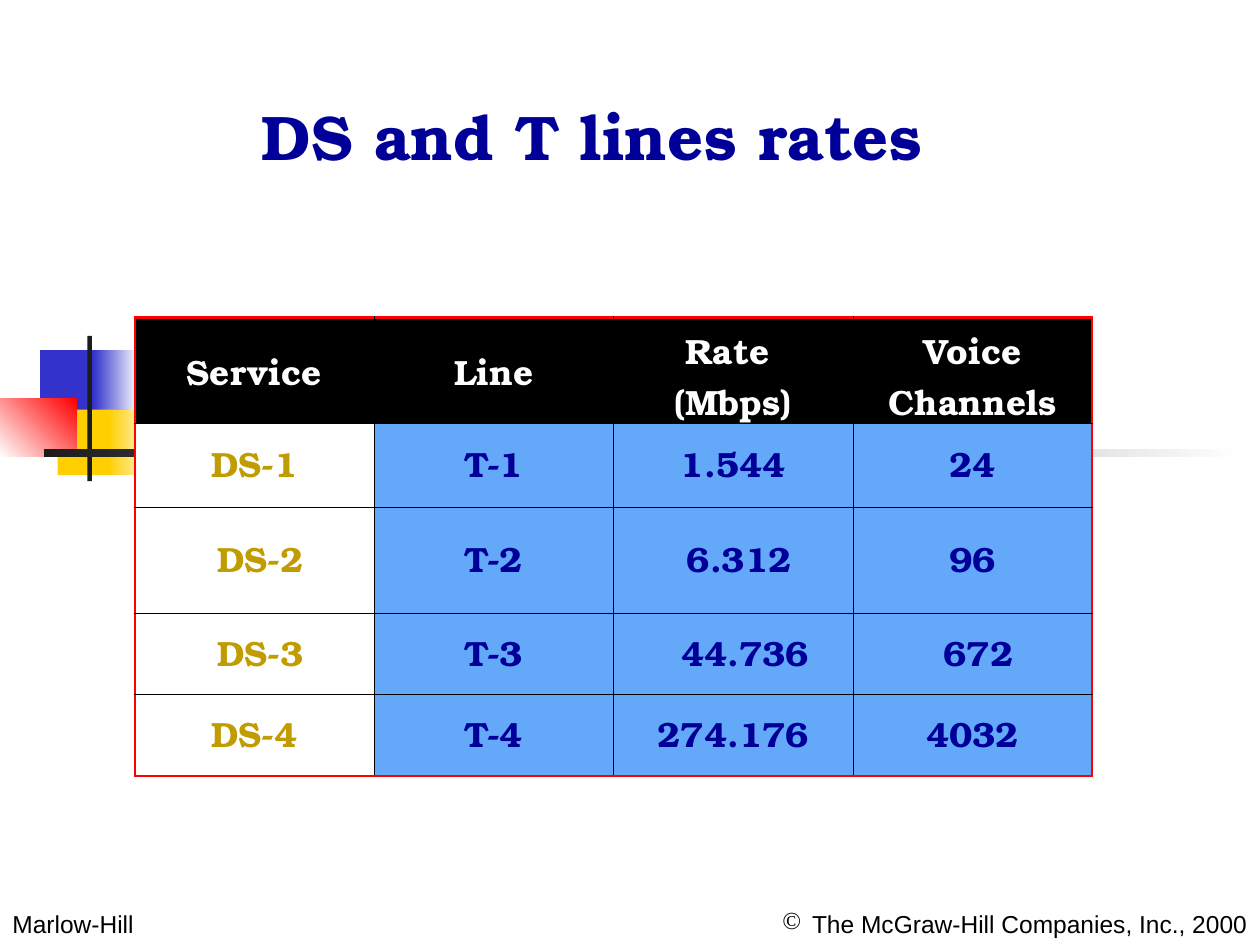
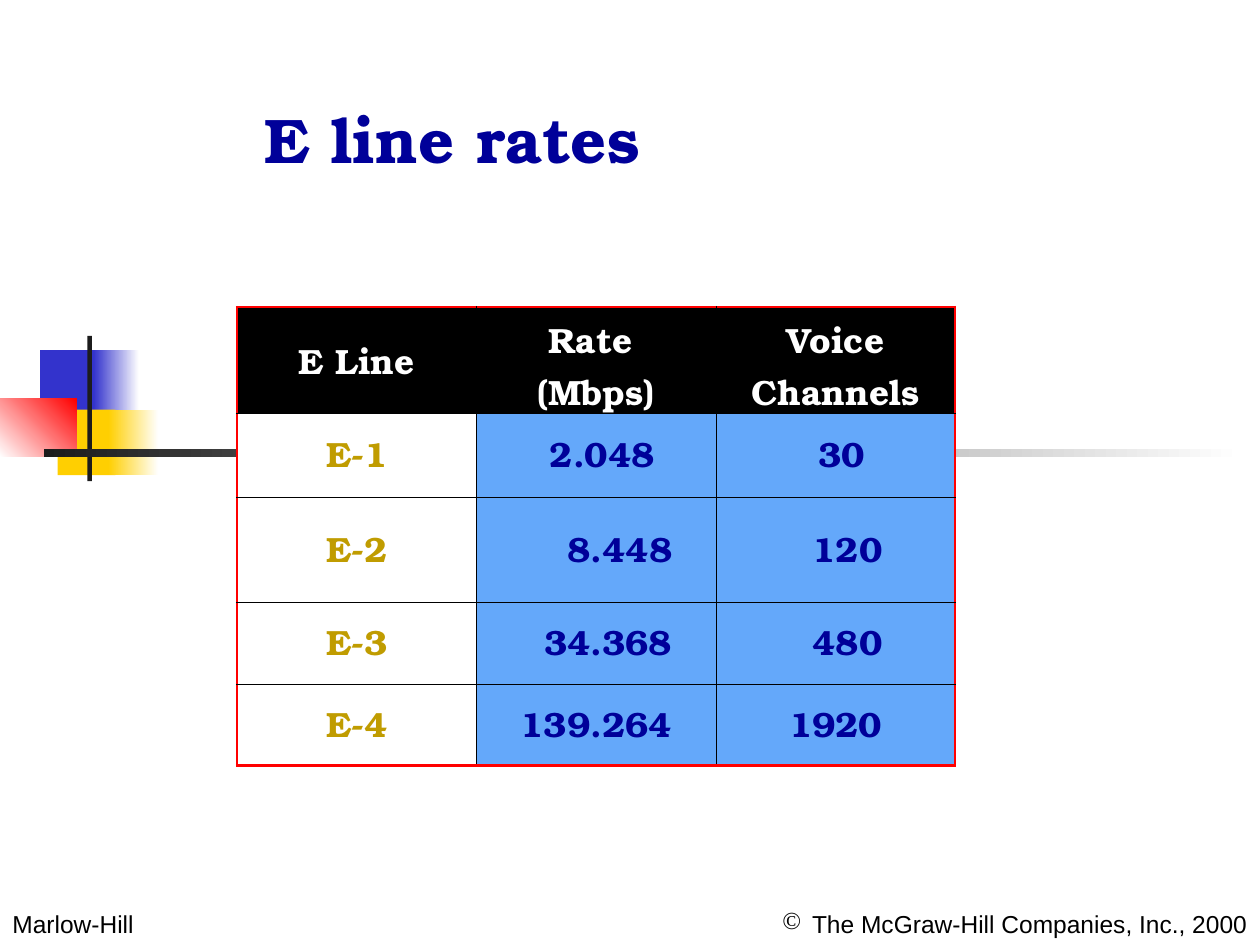
from lxml import etree
from pptx import Presentation
from pptx.dml.color import RGBColor
from pptx.enum import shapes, text
from pptx.oxml.ns import qn
from pptx.util import Pt

HUE = {"navy": "000099", "gold": "C09C00", "sky": "64A8FA", "red": "FF0000",
       "black": "000000", "white": "FFFFFF", "blue": "3333CC",
       "yellow": "FFCF01", "dark": "1C1C1C"}
SERIF, SANS = "TeX Gyre Bonum", "Arial"
LEFT, MID, RIGHT = text.PP_ALIGN.LEFT, text.PP_ALIGN.CENTER, text.PP_ALIGN.RIGHT

# left, top, width, height, first colour, second colour, angle
DECOR = [
    (23, 200, 34.5, 37.5, "blue", None, 0),
    (53.5, 200, 26, 37.5, "blue", "white", 0),
    (33, 234, 33, 37.5, "yellow", None, 0),
    (62, 234, 28.5, 37.5, "yellow", "white", 0),
    (0, 228, 44, 33, "white", "red", 45),
    (50, 192, 2.5, 83, "dark", None, 0),
    (25, 256.75, 685, 4.5, "dark", "white", 0),
]
FOOTERS = [
    (0, 174, "Marlow-Hill", LEFT, None),
    (360, 360, "The McGraw-Hill Companies, Inc., 2000", RIGHT, "©"),
]

# A number after a cell's text shifts it right by that many steps.
PAGES = [
    {"title": "DS and T lines rates", "spot": (142.5, 52, 392), "table": (77, 181.5),
     "rows": [
         ["Service", "Line", "Rate \v(Mbps)", "Voice Channels"],
         ["DS-1", "T-1", "1.544", "24"],
         [("DS-2", 1), "T-2", ("6.312", 1), "96"],
         [("DS-3", 1), "T-3", ("44.736", 2), ("672", 1)],
         ["DS-4", "T-4", "274.176", "4032"]]},
    {"title": "E line rates", "spot": (144, 54, 229), "table": (135.5, 175.5),
     "rows": [
         ["E Line", "Rate \v(Mbps)", "Voice\vChannels"],
         ["E-1", ("2.048", 1), ("30", 1)],
         ["E-2", ("8.448", 4), ("120", 2)],
         ["E-3", ("34.368", 2), ("480", 2)],
         ["E-4", "139.264", "1920"]]},
]
COL, STEP = 136.8, 6.8
HEIGHTS = [60.5, 48, 60.5, 46.5, 46.5]


def write(frame, words, size=20, face=SERIF, hue="navy", bold=True,
          align=MID, space=None, mark=None):
    """Fill a text frame with one formatted paragraph; mark is its bullet."""
    frame.text = words.split("\v")[0]
    para = frame.paragraphs[0]
    for line in words.split("\v")[1:]:
        para.add_line_break()
        para.add_run().text = line
    para.alignment = align
    para.line_spacing = space
    if mark:
        props = para._p.get_or_add_pPr()
        tint = etree.SubElement(props, qn("a:buClr"))
        etree.SubElement(tint, qn("a:srgbClr"), val=HUE[hue])
        etree.SubElement(props, qn("a:buChar"), char=mark)
    for run in para.runs:
        font = run.font
        font.name, font.size, font.bold = face, Pt(size), bold
        font.color.rgb = RGBColor.from_string(HUE[hue])


def edge(cell, side, hue, width):
    """Draw one border of a cell; side is L, R, T or B."""
    props = cell._tc.get_or_add_tcPr()
    line = etree.Element(qn("a:ln" + side), w=str(Pt(width)))
    fill = etree.SubElement(line, qn("a:solidFill"))
    etree.SubElement(fill, qn("a:srgbClr"), val=HUE[hue])
    props.insert("LRTB".index(side), line)


deck = Presentation()
deck.slide_width, deck.slide_height = Pt(720), Pt(540)

for page in PAGES:
    slide = deck.slides.add_slide(deck.slide_layouts[5])

    for x, y, w, h, hue, end, angle in DECOR:
        block = slide.shapes.add_shape(shapes.MSO_SHAPE.RECTANGLE,
                                       Pt(x), Pt(y), Pt(w), Pt(h))
        block.shadow.inherit = False
        block.line.fill.background()
        if end:
            block.fill.gradient()
            block.fill.gradient_angle = angle
            for stop, tone in zip(block.fill.gradient_stops, (hue, end)):
                stop.color.rgb = RGBColor.from_string(HUE[tone])
        else:
            block.fill.solid()
            block.fill.fore_color.rgb = RGBColor.from_string(HUE[hue])

    for x, w, words, align, mark in FOOTERS:
        box = slide.shapes.add_textbox(Pt(x), Pt(516), Pt(w), Pt(24.5))
        box.text_frame.word_wrap = True
        write(box.text_frame, words, size=14, face=SANS, hue="black",
              bold=False, align=align, mark=mark)

    title = slide.shapes.title
    x, y, w = page["spot"]
    title.left, title.top, title.width, title.height = Pt(x), Pt(y), Pt(w), Pt(50.5)
    frame = title.text_frame
    frame.word_wrap = False
    frame.auto_size = text.MSO_AUTO_SIZE.SHAPE_TO_FIT_TEXT
    frame.vertical_anchor = text.MSO_ANCHOR.TOP
    write(frame, page["title"], size=36, align=LEFT)

    rows = page["rows"]
    last, end = len(rows) - 1, len(rows[0]) - 1
    x, y = page["table"]
    grid = slide.shapes.add_table(len(rows), len(rows[0]), Pt(x), Pt(y),
                                  Pt(COL * len(rows[0])), Pt(sum(HEIGHTS))).table
    grid.first_row = grid.horz_banding = False
    for col in grid.columns:
        col.width = Pt(COL)
    for r, row in enumerate(rows):
        grid.rows[r].height = Pt(HEIGHTS[r])
        for c, item in enumerate(row):
            words, shift = item if isinstance(item, tuple) else (item, 0)
            if r == 0:
                back, hue = "black", "white"
            elif c == 0:
                back, hue = "white", "gold"
            else:
                back, hue = "sky", "navy"
            cell = grid.cell(r, c)
            cell.vertical_anchor = text.MSO_ANCHOR.MIDDLE
            cell.margin_left = Pt(7.2 + STEP * shift)
            cell.fill.solid()
            cell.fill.fore_color.rgb = RGBColor.from_string(HUE[back])
            write(cell.text_frame, words, hue=hue, space=0.8 if r else None)
            outer = {"L": c == 0, "R": c == end, "T": r == 0, "B": r == last}
            for side, rim in outer.items():
                edge(cell, side, "red" if rim else "black", 1.47 if rim else 0.45)

deck.save("out.pptx")
